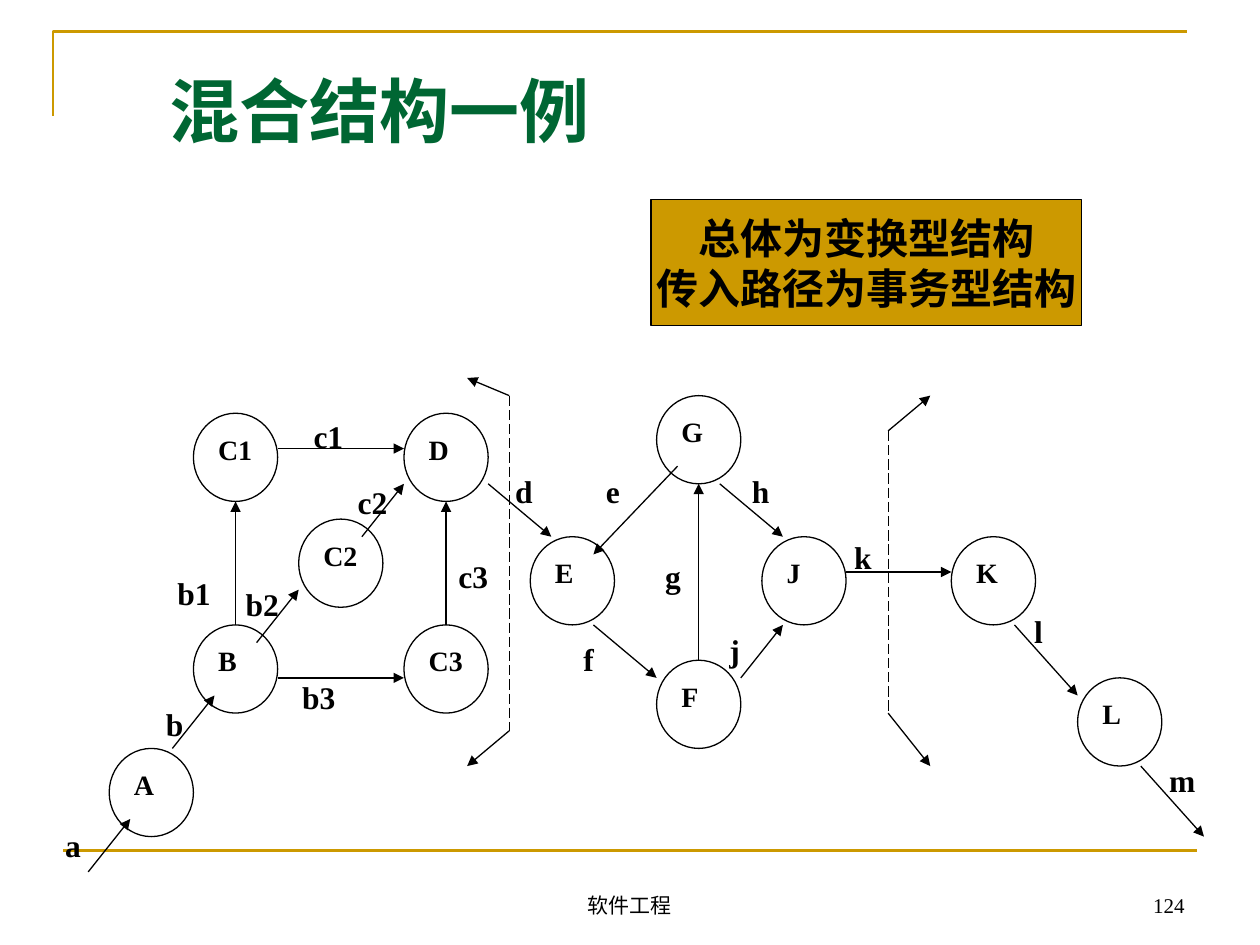
from typing import NamedTuple, Optional

from lxml.etree import SubElement
from pptx import Presentation
from pptx.dml.color import RGBColor
from pptx.enum.dml import MSO_LINE_DASH_STYLE as Dash
from pptx.enum.shapes import MSO_CONNECTOR, MSO_SHAPE
from pptx.enum.text import MSO_ANCHOR as Anchor, MSO_AUTO_SIZE as AutoSize, PP_ALIGN as Align
from pptx.oxml.ns import qn
from pptx.util import Pt

BLACK = RGBColor(0x00, 0x00, 0x00)
WHITE = RGBColor(0xFF, 0xFF, 0xFF)
GOLD = RGBColor(0xCC, 0x99, 0x00)
GREEN = RGBColor(0x00, 0x66, 0x33)
SERIF, SANS = "Times New Roman", "Karla"

# The diagram sits on a grid; a node spans 4 columns and 5 rows.
GRID_LEFT, GRID_TOP = 50.4, 216
COLUMN, ROW = 12.03, 10.08


class Node(NamedTuple):
    name: str
    column: int
    row: int


class Edge(NamedTuple):
    """A line in grid units."""
    x1: int
    y1: int
    x2: int
    y2: int
    dashed: bool = False


class Label(NamedTuple):
    text: str
    left: float
    top: float
    width: float


class TextStyle(NamedTuple):
    size: float
    font: str = SERIF
    color: RGBColor = BLACK
    bold: bool = True
    align: Optional[Align] = None
    anchor: Anchor = Anchor.TOP
    wrap: bool = True


NODES = [
    Node("C1", 5, 2), Node("A", 1, 21), Node("C3", 15, 14), Node("B", 5, 14),
    Node("C2", 10, 8), Node("D", 15, 2), Node("L", 47, 17), Node("F", 27, 16),
    Node("G", 27, 1), Node("E", 21, 9), Node("K", 41, 9), Node("J", 32, 9),
]
EDGES = [
    Edge(0, 28, 2, 25), Edge(4, 21, 6, 18), Edge(8, 15, 10, 12), Edge(13, 9, 15, 6),
    Edge(7, 14, 7, 7), Edge(9, 4, 15, 4), Edge(17, 14, 17, 7), Edge(9, 17, 15, 17),
    Edge(19, 6, 22, 9), Edge(28, 5, 24, 10), Edge(24, 14, 27, 17), Edge(31, 17, 33, 14),
    Edge(30, 6, 33, 9), Edge(29, 16, 29, 6), Edge(36, 11, 41, 11), Edge(44, 14, 47, 18),
    Edge(50, 22, 53, 26),
    # Boundaries between the incoming, transform and outgoing parts
    Edge(20, 1, 20, 20, dashed=True), Edge(20, 1, 18, 0), Edge(20, 20, 18, 22),
    Edge(38, 3, 38, 19, dashed=True), Edge(38, 3, 40, 1), Edge(38, 19, 40, 22),
]
LABELS = [
    Label("a", 30.2, 468.7, 24), Label("b", 87.8, 399.6, 25),
    Label("b1", 94.3, 324.7, 35), Label("b2", 133.2, 330.5, 35),
    Label("b3", 165.6, 383.8, 35), Label("c1", 172.1, 234.7, 33),
    Label("c2", 197.3, 272.2, 33), Label("c3", 254.9, 314.6, 33),
    Label("d", 287.3, 266.4, 25), Label("e", 339.1, 266.4, 23),
    Label("f", 326.2, 362.2, 21), Label("g", 373, 314.6, 24),
    Label("h", 422.6, 266.4, 25), Label("j", 409.7, 357.1, 21),
    Label("k", 481, 303.8, 25), Label("l", 583.9, 346.3, 20),
    Label("m", 661, 431.3, 30),
]
NODE_TEXT = TextStyle(16, align=Align.JUSTIFY)
LABEL_TEXT = TextStyle(18, wrap=False)
TITLE_TEXT = TextStyle(40, SANS, GREEN, anchor=Anchor.BOTTOM)
NOTE_TEXT = TextStyle(24, SANS, align=Align.CENTER, anchor=Anchor.MIDDLE, wrap=False)
FOOTER_TEXT = TextStyle(12, bold=False, align=Align.CENTER, anchor=Anchor.BOTTOM)
NUMBER_TEXT = FOOTER_TEXT._replace(align=Align.RIGHT)


def grid_x(column: int) -> Pt:
    return Pt(GRID_LEFT + column * COLUMN)


def grid_y(row: int) -> Pt:
    return Pt(GRID_TOP + row * ROW)


def write(shape, lines: list[str], style: TextStyle) -> None:
    frame = shape.text_frame
    frame.word_wrap = style.wrap
    frame.vertical_anchor = style.anchor
    frame.text = "\n".join(lines)
    for para in frame.paragraphs:
        para.alignment = style.align
        para.font.size = Pt(style.size)
        para.font.name = style.font
        para.font.bold = style.bold
        para.font.color.rgb = style.color


def add_text(page, text: str, left: float, top: float, width: float,
             height: float, style: TextStyle):
    box = page.shapes.add_textbox(Pt(left), Pt(top), Pt(width), Pt(height))
    write(box, [text], style)
    return box


def add_filled(page, kind: MSO_SHAPE, left: Pt, top: Pt, width: Pt, height: Pt,
               fill: RGBColor, lines: list[str], style: TextStyle) -> None:
    shape = page.shapes.add_shape(kind, left, top, width, height)
    shape.shadow.inherit = False
    shape.fill.solid()
    shape.fill.fore_color.rgb = fill
    shape.line.color.rgb = BLACK
    shape.line.width = Pt(0.75)
    write(shape, lines, style)


def add_line(page, x1: Pt, y1: Pt, x2: Pt, y2: Pt, color: RGBColor, weight: float):
    line = page.shapes.add_connector(MSO_CONNECTOR.STRAIGHT, x1, y1, x2, y2)
    line.line.color.rgb = color
    line.line.width = Pt(weight)
    SubElement(line._element.spPr, qn("a:effectLst"))
    return line


def add_edge(page, edge: Edge) -> None:
    line = add_line(page, grid_x(edge.x1), grid_y(edge.y1),
                    grid_x(edge.x2), grid_y(edge.y2), BLACK, 0.75)
    if edge.dashed:
        line.line.dash_style = Dash.LONG_DASH
    else:
        SubElement(line.line._get_or_add_ln(), qn("a:tailEnd"), type="triangle")


def add_frame(page) -> None:
    """Draw the gold corner at the top and the rule above the footer."""
    builder = page.shapes.build_freeform(Pt(30.24), Pt(66.24), scale=1.0)
    builder.add_line_segments([(Pt(30.24), Pt(18)), (Pt(678.24), Pt(18))], close=False)
    corner = builder.convert_to_shape()
    corner.shadow.inherit = False
    corner.fill.background()
    corner.line.color.rgb = GOLD
    corner.line.width = Pt(1.5)
    add_line(page, Pt(36), Pt(486), Pt(684), Pt(486), GOLD, 1.5)


def main() -> None:
    deck = Presentation()
    deck.slide_width, deck.slide_height = Pt(720), Pt(540)
    page = deck.slides.add_slide(deck.slide_layouts[6])

    add_frame(page)
    add_text(page, "混合结构一例", 90, 18, 613.44, 72, TITLE_TEXT)
    for node in NODES:
        add_filled(page, MSO_SHAPE.OVAL, grid_x(node.column), grid_y(node.row),
                   Pt(4 * COLUMN), Pt(5 * ROW), WHITE, [node.name], NODE_TEXT)
    for edge in EDGES:
        add_edge(page, edge)
    for label in LABELS:
        box = add_text(page, label.text, label.left, label.top, label.width, 28.8, LABEL_TEXT)
        box.text_frame.auto_size = AutoSize.SHAPE_TO_FIT_TEXT
    add_filled(page, MSO_SHAPE.RECTANGLE, Pt(372), Pt(114), Pt(246), Pt(72), GOLD,
               ["总体为变换型结构", "传入路径为事务型结构"], NOTE_TEXT)
    add_text(page, "软件工程", 246, 492, 228, 36, FOOTER_TEXT)
    add_text(page, "124", 516, 492, 168, 36, NUMBER_TEXT)

    deck.save("out.pptx")


if __name__ == "__main__":
    main()
